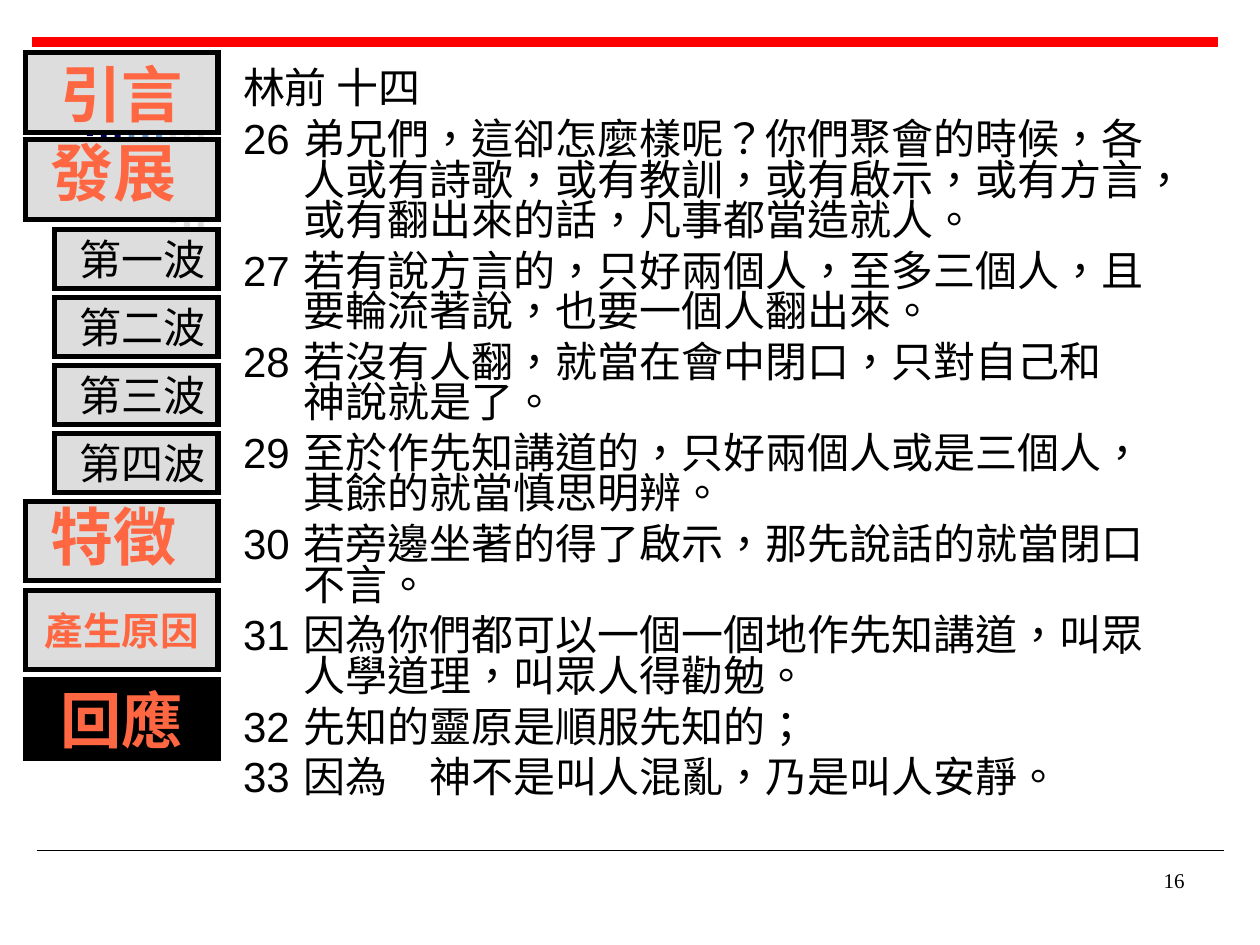
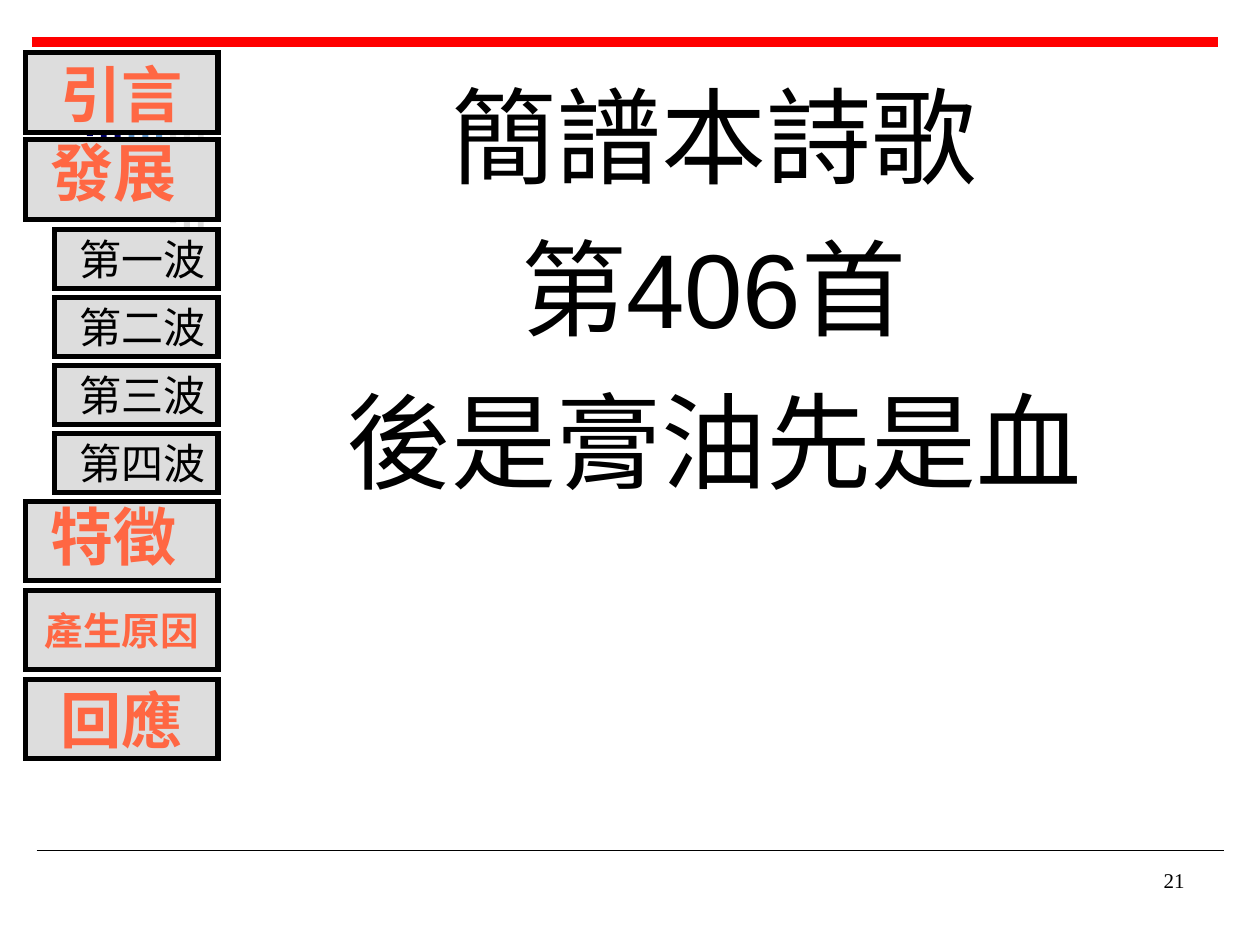
from dataclasses import dataclass
from typing import Optional

from lxml.etree import SubElement
from pptx import Presentation
from pptx.dml.color import RGBColor
from pptx.enum.lang import MSO_LANGUAGE_ID
from pptx.enum.shapes import MSO_CONNECTOR, MSO_SHAPE
from pptx.enum.text import MSO_ANCHOR, PP_ALIGN
from pptx.oxml.ns import qn
from pptx.util import Pt

BLACK = "000000"
GREY = "DDDDDD"
NAVY = "000066"
BLUE = "6699CC"
RED = "FF0000"
ORANGE = "FF6743"
BODY_FONT = "Arial"
NUMBER_FONT = "Times New Roman"

MENU_RIGHT = 124.6
WAVES_TOP, WAVE_PITCH = 131, 38.9
BAR_COLOURS = [NAVY] * 3 + [BLUE] * 3 + [GREY] * 3


@dataclass(frozen=True)
class MenuItem:
    label: str
    top: float
    size: float = 35
    width: float = 110.2
    height: float = 45.4
    colour: str = ORANGE
    bold: bool = True
    align: PP_ALIGN = PP_ALIGN.CENTER
    line_spacing: Optional[float] = None
    trailing_space: bool = False


@dataclass(frozen=True)
class Content:
    number: str
    lines: list[str]
    size: float
    space_before: float
    hanging: float
    align: PP_ALIGN = PP_ALIGN.LEFT
    line_spacing: Optional[float] = None
    current: str = ""


WAVES = [
    MenuItem(f"第{numeral}波", WAVES_TOP + index * WAVE_PITCH, 24, 93.6, 33.8,
             BLACK, False, PP_ALIGN.RIGHT)
    for index, numeral in enumerate("一二三四")
]
MENU = [
    MenuItem("引言", 30.2),
    MenuItem("發展", 79.9, 36, line_spacing=0.7, trailing_space=True),
    *WAVES,
    MenuItem("特徵", 286.4, 36, line_spacing=0.8, trailing_space=True),
    MenuItem("產生原因", 337.4, 22),
    MenuItem("回應", 388.2),
]

CONTENTS = [
    Content("16", [
        "林前 十四",
        "26\t弟兄們，這卻怎麼樣呢？你們聚會的時候，各人或有詩歌，或有教訓，或有啟示，"
        "或有方言，或有翻出來的話，凡事都當造就人。",
        "27\t若有說方言的，只好兩個人，至多三個人，且要輪流著說，也要一個人翻出來。",
        "28\t若沒有人翻，就當在會中閉口，只對自己和　神說就是了。",
        "29\t至於作先知講道的，只好兩個人或是三個人，其餘的就當慎思明辨。",
        "30\t若旁邊坐著的得了啟示，那先說話的就當閉口不言。",
        "31\t因為你們都可以一個一個地作先知講道，叫眾人學道理，叫眾人得勸勉。",
        "32\t先知的靈原是順服先知的；",
        "33\t因為　神不是叫人混亂，乃是叫人安靜。",
    ], 24, 6, 34.6, line_spacing=0.8, current="回應"),
    Content("21", ["簡譜本詩歌", "第406首", "後是膏油先是血"],
            60, 15, 27.4, PP_ALIGN.CENTER),
]


def rgb(value: str) -> RGBColor:
    return RGBColor.from_string(value)


def style_span(span, size: float, colour: str = BLACK, bold: bool = False,
               name: str = BODY_FONT) -> None:
    span.font.name = name
    span.font.size = Pt(size)
    span.font.bold = bold
    span.font.color.rgb = rgb(colour)
    span.font.language_id = MSO_LANGUAGE_ID.TRADITIONAL_CHINESE


def add_rule(page, left: float, top: float, colour: str, weight: float) -> None:
    """Draw a page-wide horizontal line without a shadow."""
    rule = page.shapes.add_connector(
        MSO_CONNECTOR.STRAIGHT, Pt(left), Pt(top), Pt(left + 678.2), Pt(top))
    rule.line.color.rgb = rgb(colour)
    rule.line.width = Pt(weight)
    SubElement(rule._element.spPr, qn("a:effectLst"))


def add_rectangle(shapes, left: float, top: float, width: float, height: float,
                  fill: str):
    box = shapes.add_shape(
        MSO_SHAPE.RECTANGLE, Pt(left), Pt(top), Pt(width), Pt(height))
    box.shadow.inherit = False
    box.fill.solid()
    box.fill.fore_color.rgb = rgb(fill)
    box.line.fill.background()
    return box


def add_bars(page) -> None:
    """Draw the growing bars that show between the menu boxes."""
    bars = page.shapes.add_group_shape()
    for index, colour in enumerate(BAR_COLOURS):
        add_rectangle(bars.shapes, 49.7 + 7.92 * index, 36, 3.4,
                      41.8 + 8.28 * index, colour)


def add_menu_item(page, item: MenuItem, current: bool) -> None:
    box = add_rectangle(page.shapes, MENU_RIGHT - item.width, item.top,
                        item.width, item.height, BLACK if current else GREY)
    box.line.color.rgb = rgb(BLACK)
    box.line.width = Pt(3)
    SubElement(box._element.spPr.find(qn("a:ln")), qn("a:miter"), lim="800000")
    frame = box.text_frame
    frame.word_wrap = True
    frame.vertical_anchor = MSO_ANCHOR.MIDDLE
    frame.text = item.label
    para = frame.paragraphs[0]
    para.alignment = item.align
    para.line_spacing = item.line_spacing
    style_span(para.runs[0], item.size, item.colour, item.bold)
    if item.trailing_space:
        space = para.add_run()
        space.text = " "
        style_span(space, 39)


def add_text_frame(page, left: float, top: float, width: float, height: float):
    box = page.shapes.add_textbox(Pt(left), Pt(top), Pt(width), Pt(height))
    box.text_frame.word_wrap = True
    return box.text_frame


def add_body(page, content: Content) -> None:
    frame = add_text_frame(page, 131.8, 37.4, 552.2, 442.8)
    frame.text = "\n".join(content.lines)
    for para in frame.paragraphs:
        para.alignment = content.align
        para.space_before = Pt(content.space_before)
        para.line_spacing = content.line_spacing
        properties = para._p.get_or_add_pPr()
        properties.set("marL", str(Pt(content.hanging)))
        properties.set("indent", str(-Pt(content.hanging)))
        style_span(para.runs[0], content.size)


def add_page_number(page, number: str) -> None:
    frame = add_text_frame(page, 516, 492, 168, 36)
    frame.text = number
    para = frame.paragraphs[0]
    para.alignment = PP_ALIGN.RIGHT
    style_span(para.runs[0], 12, name=NUMBER_FONT)


def add_page(deck, content: Content) -> None:
    page = deck.slides.add_slide(deck.slide_layouts[6])
    add_rule(page, 21, 486, BLACK, 1)
    add_rule(page, 18, 24, RED, 6)
    add_bars(page)
    for item in MENU:
        add_menu_item(page, item, item.label == content.current)
    add_body(page, content)
    add_page_number(page, content.number)


def main() -> None:
    deck = Presentation()
    deck.slide_width = Pt(720)
    deck.slide_height = Pt(540)
    for content in CONTENTS:
        add_page(deck, content)
    deck.save("out.pptx")


if __name__ == "__main__":
    main()
